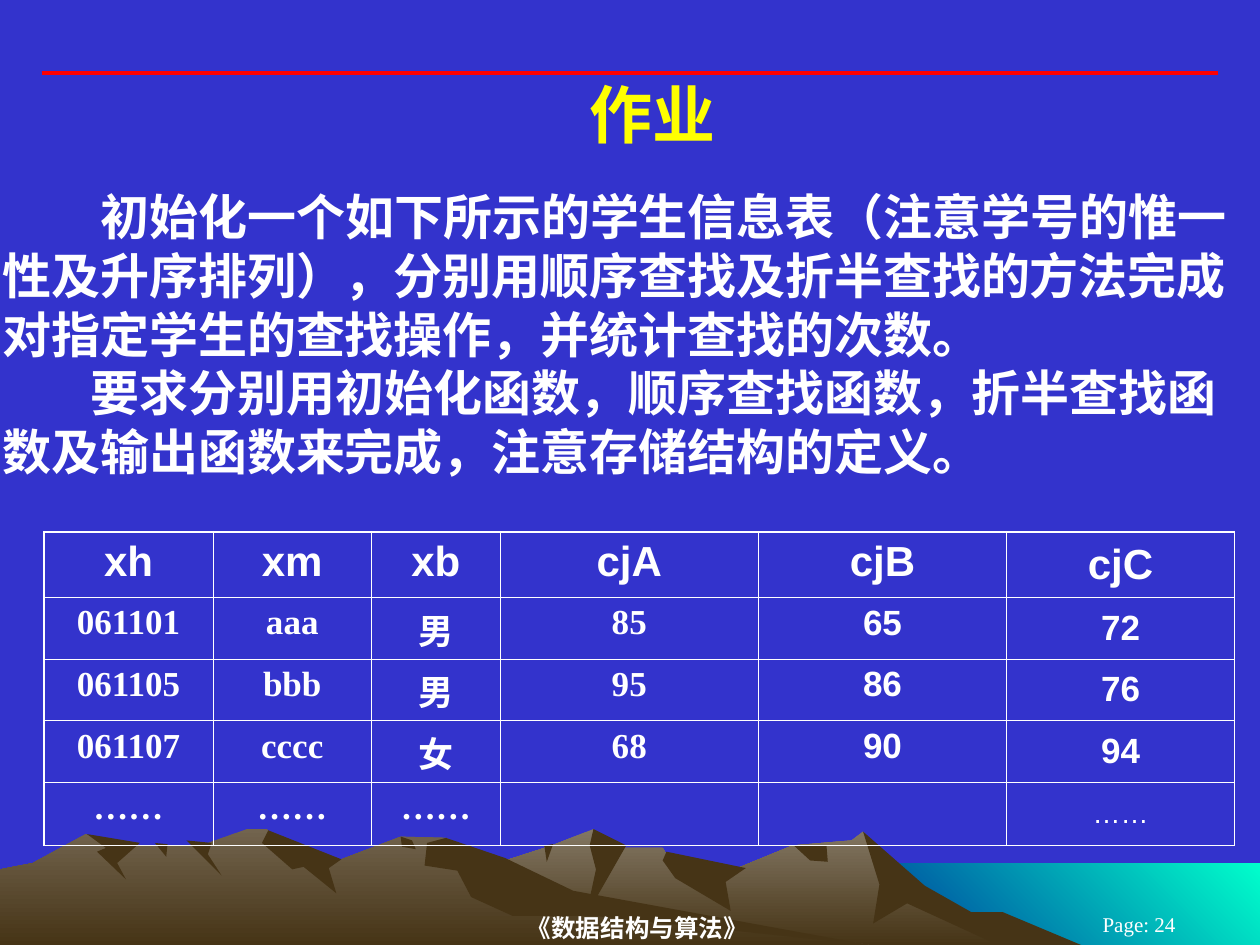
"""Build the homework slide: a task text and a student table above a mountain scene."""
from dataclasses import dataclass
from typing import Optional

from lxml import etree
from pptx import Presentation
from pptx.dml.color import RGBColor
from pptx.enum.shapes import MSO_CONNECTOR
from pptx.enum.text import MSO_ANCHOR, MSO_AUTO_SIZE, PP_ALIGN
from pptx.oxml.ns import qn
from pptx.util import Inches, Pt

STRAIGHT = MSO_CONNECTOR.STRAIGHT
TOP, MIDDLE = MSO_ANCHOR.TOP, MSO_ANCHOR.MIDDLE
FIT, FIXED = MSO_AUTO_SIZE.SHAPE_TO_FIT_TEXT, MSO_AUTO_SIZE.NONE
LEFT, CENTER = PP_ALIGN.LEFT, PP_ALIGN.CENTER

BLUE = RGBColor.from_string("3333CC")
WHITE = RGBColor.from_string("FFFFFF")
YELLOW = RGBColor.from_string("FFFF00")
RED = RGBColor.from_string("FF0000")
AQUA = RGBColor.from_string("00FFCC")
NAVY = RGBColor.from_string("003399")
SAND = RGBColor.from_string("837763")
CLAY = RGBColor.from_string("72644E")
BROWN = RGBColor.from_string("463416")
SANS, SERIF = "Arial", "Times New Roman"
WIDE, HIGH = 10, 7.5


@dataclass
class Land:
    """An outline with a flat fill, or a gradient when a light tone is given."""
    spots: list
    dark: RGBColor = BROWN
    light: Optional[RGBColor] = None
    angle: float = 270


@dataclass
class Label:
    """A text box: place, lines of (text, indent), font format and layout."""
    place: tuple
    lines: list
    form: dict
    pads: tuple = (0, 0, 0, 0)
    color: RGBColor = WHITE
    align: int = CENTER
    anchor: int = TOP
    size: int = FIXED


SCENE = [
    Land([(WIDE, HIGH), (6.83, HIGH), (6.83, 6.85), (WIDE, 6.85)], NAVY, AQUA, 225),
    Land([(8.21, HIGH), (7.64, 7.23), (7.23, 6.98), (6.85, 6.6), (6.76, 6.67), (6.29, 6.71),
          (5.66, 6.97), (5.36, 6.9), (5.26, 6.73), (4.86, 6.73), (4.71, 6.58), (4.38, 6.71),
          (3.55, 6.98), (2.58, HIGH)], BROWN, SAND),
    Land([(7.96, 7.24), (7.71, 7.24), (7.34, 7.03), (6.85, 6.6), (6.98, 7.02), (6.93, 7.33),
          (7.2, 7.17), (7.92, HIGH), (8.58, HIGH)]),
    Land([(4.71, 6.58), (4.68, 6.71), (4.73, 6.9), (4.65, 7.27), (4.97, 6.71)]),
    Land([(5.29, 6.76), (5.26, 6.83), (5.36, 6.97), (5.8, 7.23), (5.76, 7), (5.92, 6.89)]),
    Land([(6.56, 6.71), (6.3, 6.71), (6.43, 6.83), (6.57, 6.84)]),
    Land([(4.32, 6.71), (4.39, 6.7), (4.34, 6.84)]),
    Land([(6.9, HIGH), (4.32, 7.12), (3.54, 6.65), (3.18, 6.64), (2.71, 6.82), (2.36, 6.81),
          (2.12, 6.58), (1.96, 6.58), (1.6, 6.71), (0.94, 6.71), (0.68, 6.62), (0.26, 6.85),
          (0, 6.9), (0, HIGH)], BROWN, CLAY),
    Land([(2.13, 6.59), (2.08, 6.69), (2.32, 6.9), (2.41, 6.88), (2.67, 7.09), (2.61, 6.89),
          (2.71, 6.82)]),
    Land([(3.54, 6.65), (3.39, 6.69), (3.37, 6.87), (3.63, 6.91), (3.74, 7.12), (4.07, 7.27),
          (4.72, 7.27), (6.9, HIGH), (4.55, 7.07), (4.01, 6.81)]),
    Land([(3.18, 6.64), (3.27, 6.67), (3.3, 6.74), (3.19, 6.72)]),
    Land([(1.48, 6.67), (1.68, 6.69), (1.65, 6.78), (1.76, 6.95)]),
    Land([(1.23, 6.69), (1.33, 6.7), (1.32, 6.8)]),
    Land([(0.69, 6.62), (1.11, 6.69), (0.93, 6.85), (1, 6.98), (0.77, 6.76), (0.84, 6.73)]),
]

LABELS = [
    Label((2.03, 7.22, 6.06, 0.28), [("《数据结构与算法》", 0)],
          dict(name=SERIF, size=Pt(14), bold=True), anchor=MIDDLE),
    Label((8.25, 7.25, 1.58, 0.17), [("Page: 24", 0)],
          dict(name=SERIF, size=Pt(12)), anchor=MIDDLE),
    Label((1.93, 0.6, 6.5, 0.6), [("作业", 0)],
          dict(name=SANS, size=Pt(36), bold=True), color=YELLOW, size=FIT),
    Label((0, 1.47, WIDE, 2.36),
          [("初始化一个如下所示的学生信息表（注意学号的惟一性及升序排列），分别用顺序查找及"
            "折半查找的方法完成对指定学生的查找操作，并统计查找的次数。", 0.78),
           ("要求分别用初始化函数，顺序查找函数，折半查找函数及输出函数来完成，"
            "注意存储结构的定义。", 0.7)],
          dict(name=SANS, size=Pt(28), bold=True), (0.02, 0.01, 0.02, 0.01),
          align=LEFT, size=FIT),
]

GRID = [
    ["xh", "xm", "xb", "cjA", "cjB", "cjC"],
    ["061101", "aaa", "男", "85", "65", "72"],
    ["061105", "bbb", "男", "95", "86", "76"],
    ["061107", "cccc", "女", "68", "90", "94"],
    ["……", "……", "……", "", "", "……"],
]
WIDTHS = [1.34, 1.26, 1.02, 2.05, 1.97, 1.81]
HEIGHTS = [0.52, 0.49, 0.49, 0.49, 0.5]
HEAD = dict(name=SANS, size=Pt(24), bold=True)
CODE = dict(name=SERIF, size=Pt(20), bold=True)
SCORE = dict(name=SANS, size=Pt(20), bold=True)
MORE = dict(name=SANS, size=Pt(16), bold=False)


def style(font, form: dict, color: RGBColor) -> None:
    """Apply the format values and the colour to a font."""
    for key, value in form.items():
        setattr(font, key, value)
    font.color.rgb = color


def draw_land(shapes, land: Land) -> None:
    """Draw one closed outline of the scene."""
    spots = [(Inches(x), Inches(y)) for x, y in land.spots]
    pen = shapes.build_freeform(*spots[0], scale=1.0)
    pen.add_line_segments(spots[1:], close=True)
    shape = pen.convert_to_shape()
    shape.shadow.inherit = False
    shape.line.fill.background()
    if land.light is None:
        shape.fill.solid()
        shape.fill.fore_color.rgb = land.dark
        return
    shape.fill.gradient()
    shape.fill.gradient_angle = land.angle
    for stop, color in zip(shape.fill.gradient_stops, (land.light, land.dark)):
        stop.color.rgb = color


def draw_rule(shapes) -> None:
    """Draw the red line above the title."""
    side, top = Inches(0.33), Inches(0.58)
    rule = shapes.add_connector(STRAIGHT, side, top, Inches(WIDE) - side, top)
    rule.line.color.rgb = RED
    rule.line.width = Pt(2.25)
    etree.SubElement(rule._element.spPr, qn("a:effectLst"))


def draw_label(shapes, label: Label) -> None:
    """Draw one text box with its indented paragraphs."""
    frame = shapes.add_textbox(*map(Inches, label.place)).text_frame
    left, top, right, base = map(Inches, label.pads)
    form = dict(word_wrap=True, auto_size=label.size, vertical_anchor=label.anchor,
                margin_left=left, margin_top=top, margin_right=right, margin_bottom=base)
    for key, value in form.items():
        setattr(frame, key, value)
    for i, (text, indent) in enumerate(label.lines):
        para = frame.add_paragraph() if i else frame.paragraphs[0]
        para.alignment = label.align
        para._p.get_or_add_pPr().set("indent", str(Inches(indent)))
        run = para.add_run()
        run.text = text
        style(run.font, label.form, label.color)


def edge(cell, sides: dict) -> None:
    """Give a cell white borders, with a width in points for each side."""
    props = cell._tc.get_or_add_tcPr()
    for i, (side, width) in enumerate(sides.items()):
        line = etree.Element(qn(f"a:ln{side}"), w=str(Pt(width)))
        fill = etree.SubElement(line, qn("a:solidFill"))
        etree.SubElement(fill, qn("a:srgbClr"), val=str(WHITE))
        props.insert(i, line)


def pick(row: int, col: int) -> dict:
    """Choose the font format of a table cell."""
    if row == 0:
        return HEAD
    if col < 4:
        return CODE
    return MORE if row == len(GRID) - 1 else SCORE


def draw_table(shapes) -> None:
    """Draw the student table with a heavier outer frame."""
    rows, cols = len(GRID), len(WIDTHS)
    place = map(Inches, (0.35, 4.22, sum(WIDTHS), sum(HEIGHTS)))
    table = shapes.add_table(rows, cols, *place).table
    table.first_row = table.horz_banding = False
    for col, width in zip(table.columns, WIDTHS):
        col.width = Inches(width)
    for r, (row, height) in enumerate(zip(table.rows, HEIGHTS)):
        row.height = Inches(height)
        for c, cell in enumerate(row.cells):
            cell.fill.background()
            outer = dict(L=c == 0, R=c == cols - 1, T=r == 0, B=r == rows - 1)
            edge(cell, {side: 1.08 if thick else 0.45 for side, thick in outer.items()})
            cell.vertical_anchor = MIDDLE if c == cols - 1 else TOP
            if GRID[r][c]:
                para = cell.text_frame.paragraphs[0]
                para.alignment = CENTER
                run = para.add_run()
                run.text = GRID[r][c]
                style(run.font, pick(r, c), WHITE)


def main() -> None:
    """Build and save the slide."""
    deck = Presentation()
    deck.slide_width, deck.slide_height = Inches(WIDE), Inches(HIGH)
    slide = deck.slides.add_slide(deck.slide_layouts[6])
    slide.background.fill.solid()
    slide.background.fill.fore_color.rgb = BLUE
    for land in SCENE:
        draw_land(slide.shapes, land)
    draw_rule(slide.shapes)
    for label in LABELS:
        draw_label(slide.shapes, label)
    draw_table(slide.shapes)
    deck.save("out.pptx")


if __name__ == "__main__":
    main()
